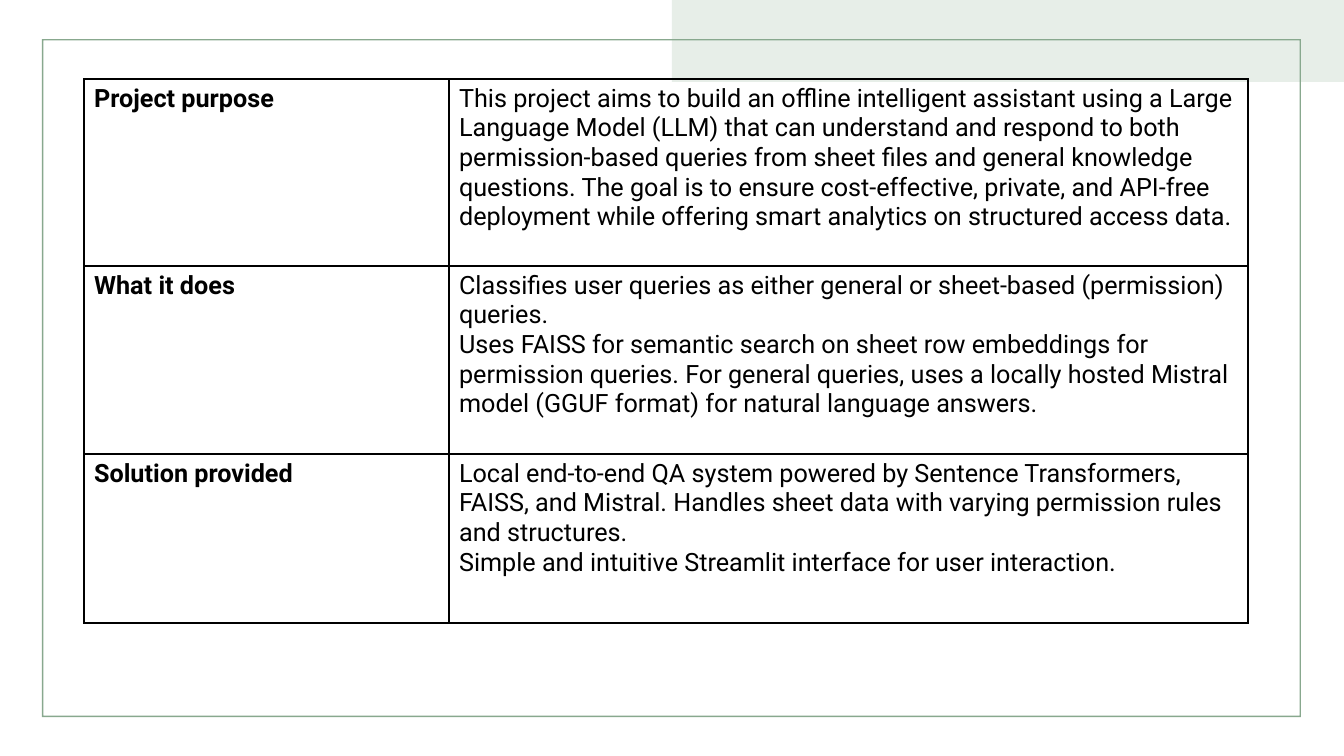
from dataclasses import dataclass

from lxml import etree
from pptx import Presentation
from pptx import util as u
from pptx.dml import color
from pptx.enum import shapes, text
from pptx.oxml import ns

EMU_PER_PX = 914400 / 100.8
COLORS = {"band": "E7EEE8", "frame": "88A88E", "ink": "000000"}
FONT = "Roboto"
TABLE_LEFT, TABLE_TOP = 84, 79
COLUMN_WIDTHS = (365, 799)


@dataclass
class Decoration:
    preset: shapes.MSO_SHAPE
    left: int
    top: int
    width: int
    height: int
    fill: str


@dataclass
class Topic:
    label: str
    details: str
    height: int


DECORATIONS = [
    Decoration(shapes.MSO_SHAPE.RECTANGLE, 672, 0, 672, 82, "band"),
    Decoration(shapes.MSO_SHAPE.FRAME, 42, 39, 1259, 678, "frame"),
]

TOPICS = [
    Topic(
        "Project purpose",
        "This project aims to build an offline intelligent assistant using a Large "
        "Language Model (LLM) that can understand and respond to both "
        "permission-based queries from sheet files and general knowledge questions. "
        "The goal is to ensure cost-effective, private, and API-free deployment "
        "while offering smart analytics on structured access data.",
        187,
    ),
    Topic(
        "What it does",
        "Classifies user queries as either general or sheet-based (permission) queries.\n"
        "Uses FAISS for semantic search on sheet row embeddings for permission "
        "queries. For general queries, uses a locally hosted Mistral model "
        "(GGUF format) for natural language answers.",
        188,
    ),
    Topic(
        "Solution provided",
        "Local end-to-end QA system powered by Sentence Transformers, FAISS, and "
        "Mistral. Handles sheet data with varying permission rules and structures.\n"
        "Simple and intuitive Streamlit interface for user interaction.",
        169,
    ),
]


def px(length: int) -> u.Emu:
    return u.Emu(round(length * EMU_PER_PX))


def rgb(name: str) -> color.RGBColor:
    return color.RGBColor.from_string(COLORS[name])


def draw_decoration(page, item: Decoration) -> None:
    shape = page.shapes.add_shape(
        item.preset, px(item.left), px(item.top), px(item.width), px(item.height)
    )
    shape.shadow.inherit = False
    shape.fill.solid()
    shape.fill.fore_color.rgb = rgb(item.fill)
    shape.line.fill.background()
    if item.preset == shapes.MSO_SHAPE.FRAME:
        shape.adjustments[0] = 0.002


def add_borders(cell) -> None:
    properties = cell._tc.get_or_add_tcPr()
    for position, side in enumerate(("lnL", "lnR", "lnT", "lnB")):
        border = etree.Element(ns.qn(f"a:{side}"), w=str(u.Pt(1)))
        fill = etree.SubElement(border, ns.qn("a:solidFill"))
        etree.SubElement(fill, ns.qn("a:srgbClr"), val=COLORS["ink"])
        properties.insert(position, border)


def write_cell(cell, content: str, bold: bool) -> None:
    cell.fill.background()
    add_borders(cell)
    cell.vertical_anchor = text.MSO_ANCHOR.TOP
    cell.text_frame.text = content
    for para in cell.text_frame.paragraphs:
        for span in para.runs:
            span.font.name = FONT
            span.font.size = u.Pt(18)
            span.font.bold = bold
            span.font.color.rgb = rgb("ink")


def draw_table(page, topics: list[Topic]) -> None:
    table = page.shapes.add_table(
        len(topics),
        len(COLUMN_WIDTHS),
        px(TABLE_LEFT),
        px(TABLE_TOP),
        px(sum(COLUMN_WIDTHS)),
        px(sum(topic.height for topic in topics)),
    ).table
    table.first_row = False
    table.horz_banding = False
    for column, width in zip(table.columns, COLUMN_WIDTHS):
        column.width = px(width)
    for row, topic in zip(table.rows, topics):
        row.height = px(topic.height)
        write_cell(row.cells[0], topic.label, True)
        write_cell(row.cells[1], topic.details, False)


def main() -> None:
    deck = Presentation()
    deck.slide_width, deck.slide_height = px(1344), px(756)
    page = deck.slides.add_slide(deck.slide_layouts[6])
    for item in DECORATIONS:
        draw_decoration(page, item)
    draw_table(page, TOPICS)
    deck.save("out.pptx")


if __name__ == "__main__":
    main()
